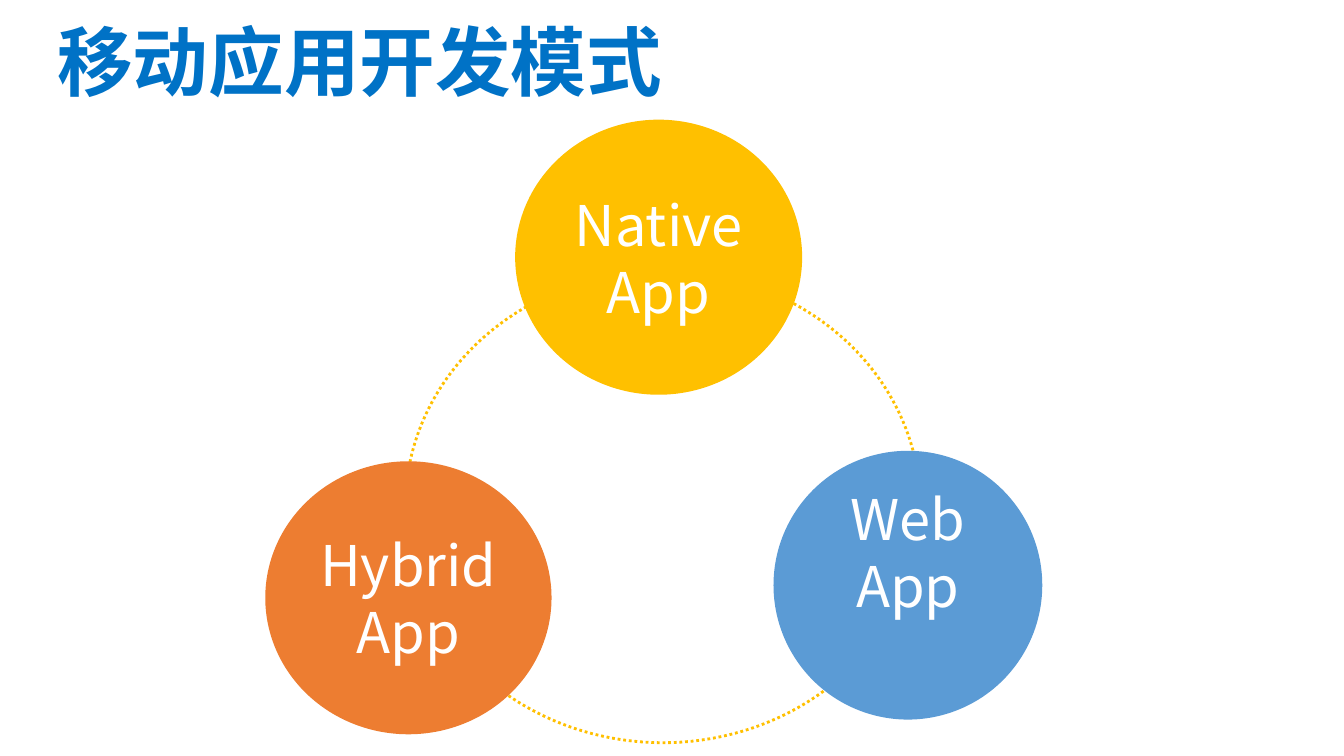
import pptx
import pptx.util
import pptx.dml.color
import pptx.enum.dml
import pptx.enum.shapes
import pptx.enum.text

Pt = pptx.util.Pt
COLORS = {
    "title": "0072C6",
    "text": "FFFFFF",
    "native": "FFC000",
    "web": "5B9BD5",
    "hybrid": "ED7D31",
}


class Deck:
    font = "Noto Sans CJK SC"

    def __init__(self, prs):
        self.s = prs.slides.add_slide(prs.slide_layouts[5])

    def color(self, name):
        return pptx.dml.color.RGBColor.from_string(COLORS[name])

    def run(self, p, text, size, color, bold=False):
        r = p.add_run()
        r.text = text
        r.font.name = self.font
        r.font.size = Pt(size)
        r.font.bold = bold
        r.font.color.rgb = self.color(color)
        rPr = r.font._element
        ea = rPr.makeelement(pptx.oxml.ns.qn("a:ea"), {"typeface": self.font})
        rPr.find(pptx.oxml.ns.qn("a:latin")).addnext(ea)

    def title(self, text, x, y, w, h):
        sp = self.s.shapes.title
        sp.left, sp.top, sp.width, sp.height = Pt(x), Pt(y), Pt(w), Pt(h)
        tf = sp.text_frame
        tf.margin_left = tf.margin_top = tf.margin_right = tf.margin_bottom = 0
        tf.vertical_anchor = pptx.enum.text.MSO_ANCHOR.TOP
        tf.auto_size = pptx.enum.text.MSO_AUTO_SIZE.SHAPE_TO_FIT_TEXT
        p = tf.paragraphs[0]
        p.alignment = pptx.enum.text.PP_ALIGN.LEFT
        p.line_spacing = 0.9
        self.run(p, text, 54, "title", True)

    def ellipse(self, x, y, w, h):
        sp = self.s.shapes.add_shape(
            pptx.enum.shapes.MSO_SHAPE.OVAL, Pt(x), Pt(y), Pt(w), Pt(h))
        sp.shadow.inherit = False
        return sp

    def ring(self, x, y, w, h, color):
        sp = self.ellipse(x, y, w, h)
        sp.fill.background()
        sp.line.color.rgb = self.color(color)
        sp.line.width = Pt(2)
        sp.line.dash_style = pptx.enum.dml.MSO_LINE.ROUND_DOT

    def circle(self, lines, x, y, w, h, color, raise_by=0):
        sp = self.ellipse(x, y, w, h)
        sp.fill.solid()
        sp.fill.fore_color.rgb = self.color(color)
        sp.line.fill.background()
        tf = sp.text_frame
        tf.word_wrap = True
        tf.vertical_anchor = pptx.enum.text.MSO_ANCHOR.MIDDLE
        tf.margin_bottom = Pt(3.6 + 2 * raise_by)
        for i, line in enumerate(lines):
            p = tf.add_paragraph() if i else tf.paragraphs[0]
            p.alignment = pptx.enum.text.PP_ALIGN.CENTER
            self.run(p, line, 40, "text")


def main():
    prs = pptx.Presentation()
    prs.slide_width, prs.slide_height = Pt(960), Pt(540)
    deck = Deck(prs)
    deck.title("移动应用开发模式", 41, 18, 878, 59)
    deck.ring(289.5, 193.5, 368, 337, "native")
    deck.circle(["Hybrid", "App"], 189.5, 329.5, 204.5, 195, "hybrid")
    deck.circle(["Native", "App"], 368, 85.5, 205, 196.5, "native")
    deck.circle(["Web", "App"], 552.5, 322, 192, 192, "web", raise_by=24)
    prs.save("out.pptx")


if __name__ == "__main__":
    main()
